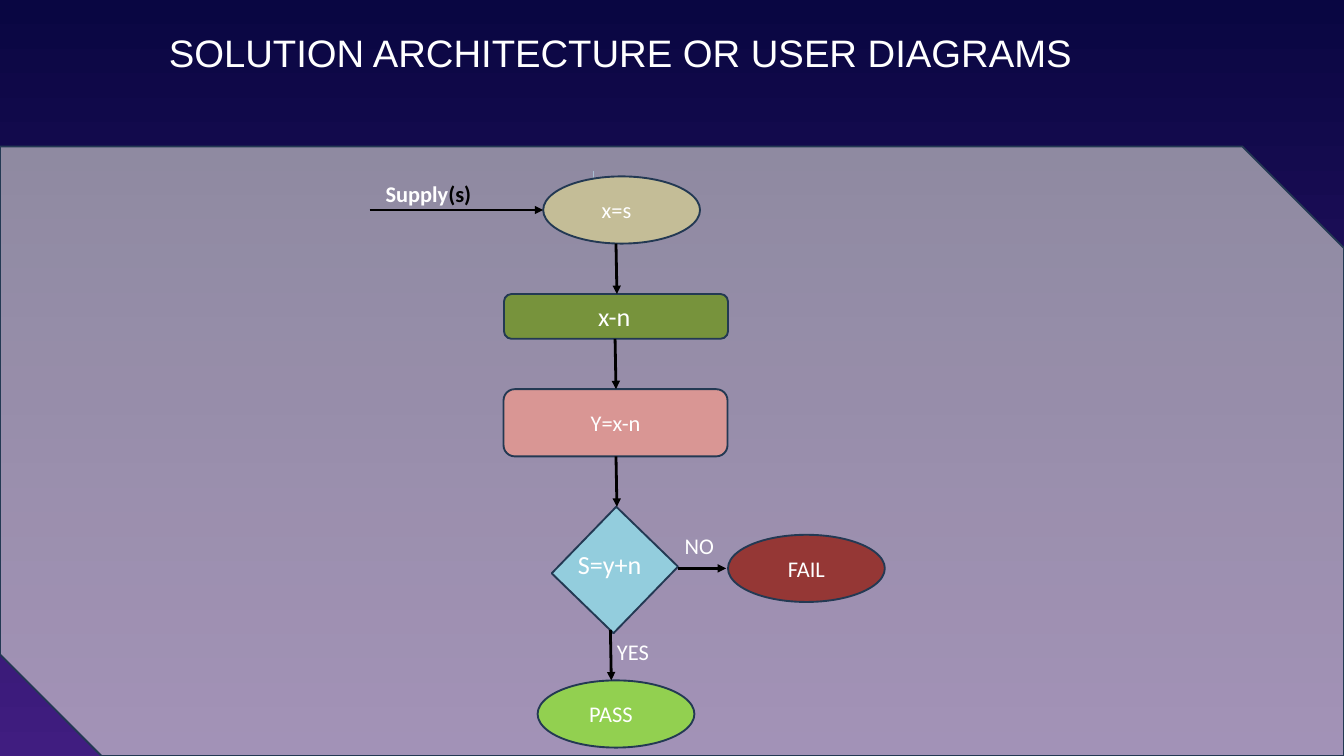
import pptx
import pptx.dml.color
import pptx.enum.dml
import pptx.enum.shapes
import pptx.enum.text
import pptx.oxml.ns
import pptx.util
from lxml import etree

Pt = pptx.util.Pt
qn = pptx.oxml.ns.qn
RGB = pptx.dml.color.RGBColor.from_string
SHAPE = pptx.enum.shapes.MSO_SHAPE
ALIGN = pptx.enum.text.PP_ALIGN
ANCHOR = pptx.enum.text.MSO_ANCHOR

THEME = {
    "bg_top": "090642", "bg_bottom": "401D80", "panel": "EEECE1",
    "outline": "233953", "arrow": "000000", "tick": "4B7EBC",
    "light": "FFFFFF", "dark": "000000",
    "start": "C4BD97", "subtract": "77933C", "assign": "D99694",
    "check": "93CDDD", "passed": "92D050", "failed": "953735",
    "title_font": "Arial", "font": "Calibri",
    "title_size": 41, "large": 28, "normal": 24,
}


def write(sp, text, size=THEME["normal"], font=THEME["font"], color=THEME["light"],
          bold=False, align=ALIGN.CENTER, anchor=ANCHOR.MIDDLE, wrap=True):
    """Append a run to the shape's first paragraph and format its frame."""
    tf = sp.text_frame
    tf.word_wrap = wrap
    tf.vertical_anchor = anchor
    p = tf.paragraphs[0]
    p.alignment = align
    r = p.add_run()
    r.text = text
    r.font.size = Pt(size)
    r.font.name = font
    r.font.bold = bold
    r.font.color.rgb = RGB(color)
    return tf


def add_arrow(x1, y1, x2, y2, color=THEME["arrow"], width=3):
    line = s.shapes.add_connector(pptx.enum.shapes.MSO_CONNECTOR.STRAIGHT,
                                  Pt(x1), Pt(y1), Pt(x2), Pt(y2))
    line.line.color.rgb = RGB(color)
    line.line.width = Pt(width)
    etree.SubElement(line.line._get_or_add_ln(), qn("a:tailEnd"), type="triangle")
    etree.SubElement(line._element.spPr, qn("a:effectLst"))


prs = pptx.Presentation()
prs.slide_width, prs.slide_height = Pt(1440), Pt(810)
s = prs.slides.add_slide(prs.slide_layouts[5])

# Background
fill = s.background.fill
fill.gradient()
fill.gradient_angle = 270
for stop, key, position in zip(fill.gradient_stops, ("bg_top", "bg_bottom"), (0, 1)):
    stop.color.rgb = RGB(THEME[key])
    stop.position = position

# Title
title = s.shapes.title
title.left, title.top, title.width, title.height = Pt(0), Pt(33.8), Pt(1331), Pt(46.8)
tf = write(title, "SOLUTION ARCHITECTURE OR USER DIAGRAMS", size=THEME["title_size"],
           font=THEME["title_font"], anchor=ANCHOR.TOP)
tf.margin_left = tf.margin_right = tf.margin_top = tf.margin_bottom = 0
tf.auto_size = pptx.enum.text.MSO_AUTO_SIZE.NONE
tf.paragraphs[0].line_spacing = Pt(46.3)

# The tick lies behind the translucent panel
add_arrow(636, 183, 636, 231, THEME["tick"], 0.75)

# Panel and flow steps: kind, fill, left, top, width, height, text, size, right inset
steps = [
    (SHAPE.SNIP_2_DIAG_RECTANGLE, "panel", 0, 157, 1440, 653, "", "normal", 7.2),
    (SHAPE.OVAL, "start", 582, 189, 168, 72, "x=s", "normal", 18),
    (SHAPE.ROUNDED_RECTANGLE, "subtract", 540, 315, 240, 48, "x-n", "large", 11),
    (SHAPE.ROUNDED_RECTANGLE, "assign", 539.5, 417, 240, 72, "Y=x-n", "normal", 7.2),
    (SHAPE.RECTANGLE, "check", 612.7, 561, 92.2, 99.4, "", "normal", 7.2),
    (SHAPE.OVAL, "passed", 576, 729, 168, 72, "PASS", "normal", 18),
    (SHAPE.OVAL, "failed", 780, 573, 168, 72, "FAIL", "normal", 7.2),
]
for kind, key, x, y, w, h, text, size, inset in steps:
    sp = s.shapes.add_shape(kind, Pt(x), Pt(y), Pt(w), Pt(h))
    sp.shadow.inherit = False
    sp.fill.solid()
    sp.fill.fore_color.rgb = RGB(THEME[key])
    sp.line.color.rgb = RGB(THEME["outline"])
    sp.line.width = Pt(2)
    if text:
        write(sp, text, size=THEME[size]).margin_right = Pt(inset)
    if key == "panel":
        srgb = sp._element.spPr.find(qn("a:solidFill")).find(qn("a:srgbClr"))
        etree.SubElement(srgb, qn("a:alpha"), val="57000")
    if key == "check":
        sp.rotation = 44.1

# Arrows between the steps
for ends in [
    (396, 225, 582, 225),
    (660, 261, 661, 315),
    (659, 363, 660, 417),
    (660, 489, 661, 543),
    (654, 675, 655, 729),
    (726, 609, 778, 609),
]:
    add_arrow(*ends)

# Labels: left, top, width, height, wrap, runs of text, size, colour, bold
labels = [
    (406, 189, 107, 36, False, [("Supply", "normal", "light", True),
                                ("(s)", "normal", "dark", True)]),
    (612, 584, 84, 41, False, [("S=y+n", "large", "light", False)]),
    (726.5, 567, 72, 36, True, [("NO", "normal", "light", False)]),
    (654, 680.5, 72, 36, True, [("YES", "normal", "light", False)]),
]
for x, y, w, h, wrap, runs in labels:
    box = s.shapes.add_textbox(Pt(x), Pt(y), Pt(w), Pt(h))
    for text, size, color, bold in runs:
        write(box, text, size=THEME[size], color=THEME[color], bold=bold,
              align=ALIGN.LEFT, anchor=ANCHOR.TOP, wrap=wrap)

prs.save("out.pptx")
